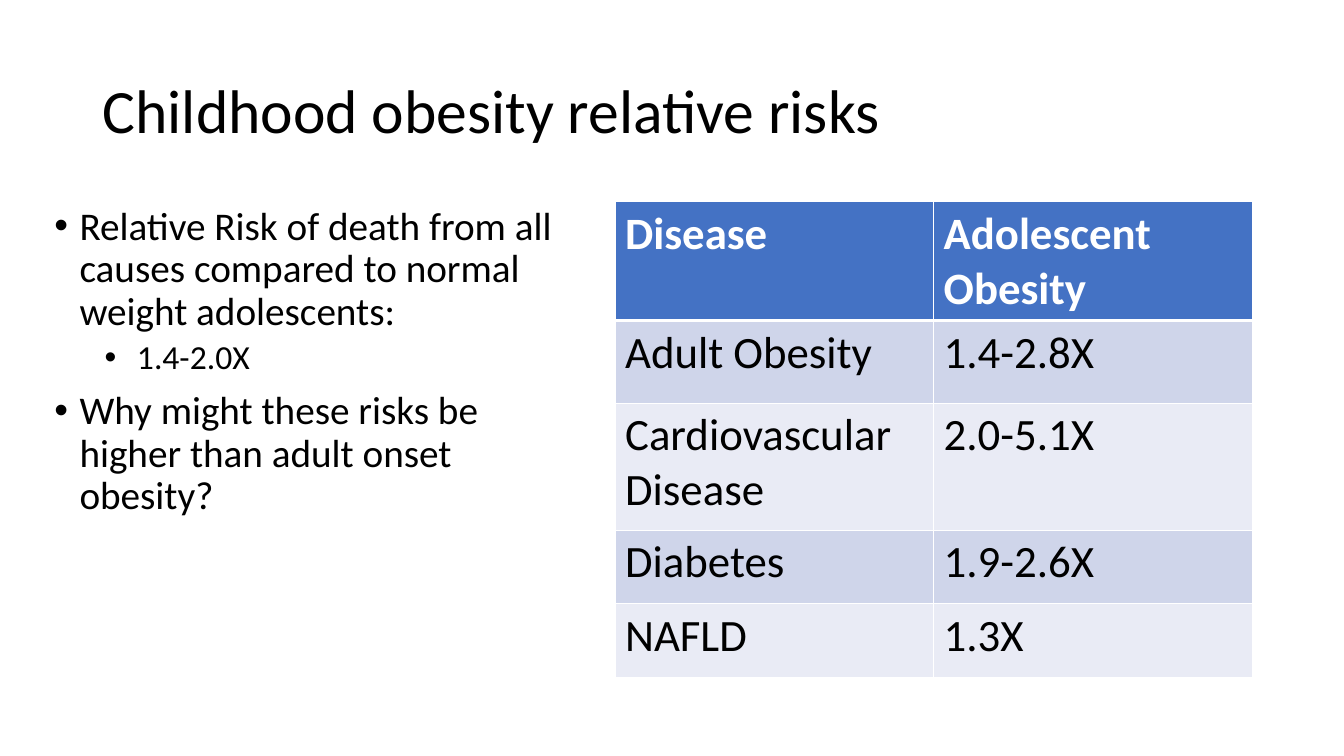
from lxml import etree
from pptx import Presentation
from pptx.dml.color import RGBColor
from pptx.enum.text import MSO_ANCHOR
from pptx.oxml.ns import qn
from pptx.util import Inches, Pt

MIDDLE, TOP = MSO_ANCHOR.MIDDLE, MSO_ANCHOR.TOP
BLACK = RGBColor(0x00, 0x00, 0x00)
WHITE = RGBColor(0xFF, 0xFF, 0xFF)
BLUE = RGBColor(0x44, 0x72, 0xC4)
BANDS = (RGBColor(0xCF, 0xD5, 0xEA), RGBColor(0xE9, 0xEB, 0xF5))
FONT = "Calibri"

# Content
TITLE = "Childhood obesity relative risks"
# text, size, space before, left margin, hanging indent
POINTS = [
    ("Relative Risk of death from all causes compared to normal "
     "weight adolescents:", 28, 0, 0.25, 0.25),
    ("1.4-2.0X", 24, 5, 0.82, 0.32),
    ("Why might these risks be higher than adult onset obesity?",
     28, 10, 0.25, 0.25),
]
RISKS = [
    ("Disease", "Adolescent Obesity"),
    ("Adult Obesity", "1.4-2.8X"),
    ("Cardiovascular Disease", "2.0-5.1X"),
    ("Diabetes", "1.9-2.6X"),
    ("NAFLD", "1.3X"),
]
HEIGHTS = (1.18, 0.82, 1.26, 0.73, 0.73)
COL_W = 3.16


def write(para, text, size=32, color=BLACK, bold=False, line=None,
          before=0, left=0, hang=0):
    """Fill one paragraph; a hanging indent brings a bullet."""
    if hang:
        props = para._p.get_or_add_pPr()
        props.set("marL", str(Inches(left)))
        props.set("indent", str(-Inches(hang)))
        etree.SubElement(props, qn("a:buFont")).set("typeface", "Arial")
        etree.SubElement(props, qn("a:buChar")).set("char", "•")
    if line:
        para.line_spacing = line
    para.space_before = Pt(before)
    run = para.add_run()
    run.text = text
    font = run.font
    font.name, font.size, font.bold = FONT, Pt(size), bold
    font.color.rgb = color


def add_box(slide, left, top, width, height, anchor=TOP):
    box = slide.shapes.add_textbox(*map(Inches, (left, top, width, height)))
    frame = box.text_frame
    frame.word_wrap = True
    frame.vertical_anchor = anchor
    return frame


def add_edges(cell, widths):
    """Draw white cell borders, placed ahead of the fill."""
    props = cell._tc.get_or_add_tcPr()
    for spot, (side, width) in enumerate(widths.items()):
        edge = etree.Element(qn("a:ln" + side), w=str(Pt(width)))
        fill = etree.SubElement(edge, qn("a:solidFill"))
        etree.SubElement(fill, qn("a:srgbClr")).set("val", str(WHITE))
        props.insert(spot, edge)


def main():
    deck = Presentation()
    deck.slide_width, deck.slide_height = Inches(13.33), Inches(7.5)
    slide = deck.slides.add_slide(deck.slide_layouts[6])

    # Title
    frame = add_box(slide, 0.92, 0.4, 11.5, 1.45, MIDDLE)
    write(frame.paragraphs[0], TITLE, size=44, line=0.9)

    # Bullet points
    frame = add_box(slide, 0.44, 2, 5.25, 4.76)
    for i, (text, size, before, left, hang) in enumerate(POINTS):
        para = frame.add_paragraph() if i else frame.paragraphs[0]
        para.level = int(size == 24)
        write(para, text, size=size, line=0.9, before=before,
              left=left, hang=hang)

    # Risk table
    table = slide.shapes.add_table(
        len(RISKS), 2, Inches(6.1), Inches(2),
        Inches(2 * COL_W), Inches(sum(HEIGHTS))).table
    for col in table.columns:
        col.width = Inches(COL_W)
    for r, (row, height) in enumerate(zip(RISKS, HEIGHTS)):
        table.rows[r].height = Inches(height)
        head = r == 0
        for c, text in enumerate(row):
            cell = table.cell(r, c)
            cell.fill.solid()
            cell.fill.fore_color.rgb = BLUE if head else BANDS[(r - 1) % 2]
            write(cell.text_frame.paragraphs[0], text,
                  color=WHITE if head else BLACK, bold=head)
            add_edges(cell, {"L": 1, "R": 1, "T": 3 if r == 1 else 1,
                             "B": 3 if head else 1})

    deck.save("out.pptx")


if __name__ == "__main__":
    main()
